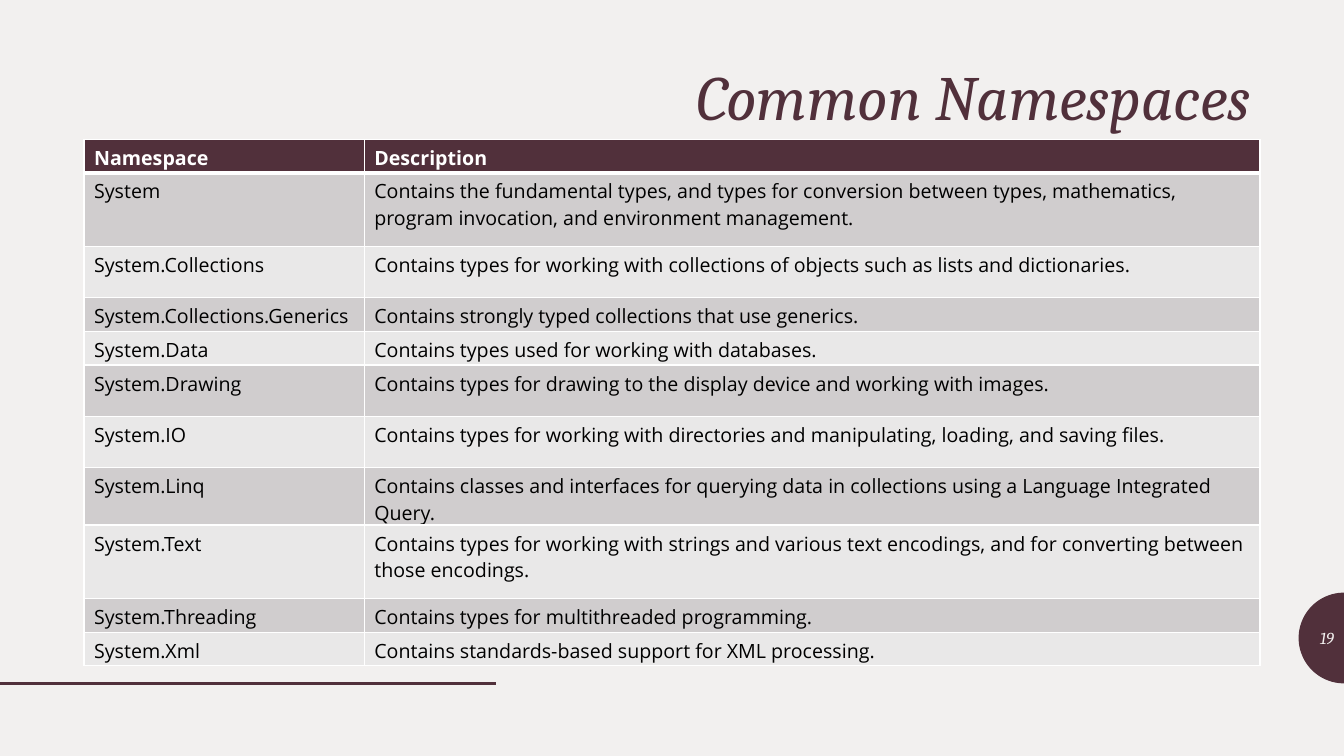
import math

import pptx
import pptx.dml.color
import pptx.enum.shapes
import pptx.enum.text
import pptx.oxml
import pptx.oxml.ns
import pptx.util

Inches, Pt = pptx.util.Inches, pptx.util.Pt
ALIGN = pptx.enum.text.PP_ALIGN
ANCHOR = pptx.enum.text.MSO_ANCHOR
COLORS = {
    name: pptx.dml.color.RGBColor.from_string(value)
    for name, value in {
        "paper": "F2F0EF", "plum": "51303B", "white": "FFFFFF",
        "black": "000000", "dark band": "D0CDCE", "light band": "E9E8E8",
    }.items()
}
WIDTH, HEIGHT = 13.33, 7.5
MARGIN = WIDTH / 16
CONTENT_WIDTH = WIDTH - 2 * MARGIN
RULE_Y = 6.78
RADIUS = 0.45

# Namespace, description and row height in inches
ROWS = [
    ("Namespace", "Description", 0.32),
    ("System", "Contains the fundamental types, and types for conversion between types, "
     "mathematics, program invocation, and environment management.", 0.73),
    ("System.Collections", "Contains types for working with collections of objects "
     "such as lists and dictionaries.", 0.51),
    ("System.Collections.Generics", "Contains strongly typed collections that use generics.", 0.3),
    ("System.Data", "Contains types used for working with databases.", 0.3),
    ("System.Drawing", "Contains types for drawing to the display device "
     "and working with images.", 0.51),
    ("System.IO", "Contains types for working with directories and manipulating, "
     "loading, and saving files.", 0.51),
    ("System.Linq", "Contains classes and interfaces for querying data in collections "
     "using a Language Integrated Query.", 0.51),
    ("System.Text", "Contains types for working with strings and various text encodings, "
     "and for converting between those encodings.", 0.73),
    ("System.Threading", "Contains types for multithreaded programming.", 0.3),
    ("System.Xml", "Contains standards-based support for XML processing.", 0.3),
]


def add_heading_text(text, left, top, width, height, size, color, anchor):
    """Right-aligned italic serif text."""
    frame = slide.shapes.add_textbox(*map(Inches, (left, top, width, height))).text_frame
    frame.word_wrap = True
    frame.vertical_anchor = anchor
    paragraph = frame.paragraphs[0]
    paragraph.text = text
    paragraph.alignment = ALIGN.RIGHT
    paragraph.font.name = "Cambria"
    paragraph.font.size = Pt(size)
    paragraph.font.italic = True
    paragraph.font.color.rgb = COLORS[color]
    return paragraph


def set_borders(cell, bottom_width):
    """White lines on all four sides; they go before the cell's fill."""
    properties = cell._tc.get_or_add_tcPr()
    for index, side in enumerate(("lnL", "lnR", "lnT", "lnB")):
        width = Pt(bottom_width if side == "lnB" else 1)
        properties.insert(index, pptx.oxml.parse_xml(
            f'<a:{side} {pptx.oxml.ns.nsdecls("a")} w="{width}"><a:solidFill>'
            f'<a:srgbClr val="{COLORS["white"]}"/></a:solidFill></a:{side}>'))


presentation = pptx.Presentation()
presentation.slide_width = Inches(WIDTH)
presentation.slide_height = Inches(HEIGHT)
slide = presentation.slides.add_slide(presentation.slide_layouts[6])
slide.background.fill.solid()
slide.background.fill.fore_color.rgb = COLORS["paper"]

# Half disc at the right edge
arc = []
for step in range(49):
    angle = math.pi * step / 48
    arc.append((Inches(WIDTH - RADIUS * math.sin(angle)),
                Inches(RULE_Y - RADIUS - RADIUS * math.cos(angle))))
outline = slide.shapes.build_freeform(*arc[0])
outline.add_line_segments(arc[1:], close=True)
half_disc = outline.convert_to_shape()
half_disc.shadow.inherit = False
half_disc.fill.solid()
half_disc.fill.fore_color.rgb = COLORS["plum"]
half_disc.line.fill.background()

# Rule at the lower left
rule = slide.shapes.add_connector(
    pptx.enum.shapes.MSO_CONNECTOR.STRAIGHT,
    0, Inches(RULE_Y), Inches(4.92), Inches(RULE_Y))
rule.line.color.rgb = COLORS["plum"]
rule.line.width = Pt(2)
rule._element.spPr.append(
    pptx.oxml.parse_xml(f'<a:effectLst {pptx.oxml.ns.nsdecls("a")}/>'))

# Title and page number
title = add_heading_text("Common Namespaces", MARGIN, 0.61, CONTENT_WIDTH, 0.76,
                         45, "plum", ANCHOR.TOP)
title.line_spacing = 0.9
add_heading_text("19", WIDTH - RADIUS, 6.13, RADIUS, 0.4, 12, "paper", ANCHOR.MIDDLE)

# Namespace table
namespaces = slide.shapes.add_table(
    len(ROWS), 2, Inches(MARGIN), Inches(1.38), Inches(CONTENT_WIDTH),
    Inches(sum(row[2] for row in ROWS))).table
namespaces.columns[0].width = Inches(2.78)
namespaces.columns[1].width = Inches(CONTENT_WIDTH - 2.78)
for row, (*texts, height) in enumerate(ROWS):
    namespaces.rows[row].height = Inches(height)
    header = row == 0
    band = "plum" if header else "dark band" if row % 2 else "light band"
    for column, text in enumerate(texts):
        cell = namespaces.cell(row, column)
        cell.fill.solid()
        cell.fill.fore_color.rgb = COLORS[band]
        set_borders(cell, 3 if header else 1)
        paragraph = cell.text_frame.paragraphs[0]
        paragraph.text = text
        paragraph.font.name = "Open Sans"
        paragraph.font.size = Pt(14)
        paragraph.font.bold = header
        paragraph.font.color.rgb = COLORS["white" if header else "black"]

presentation.save("out.pptx")
